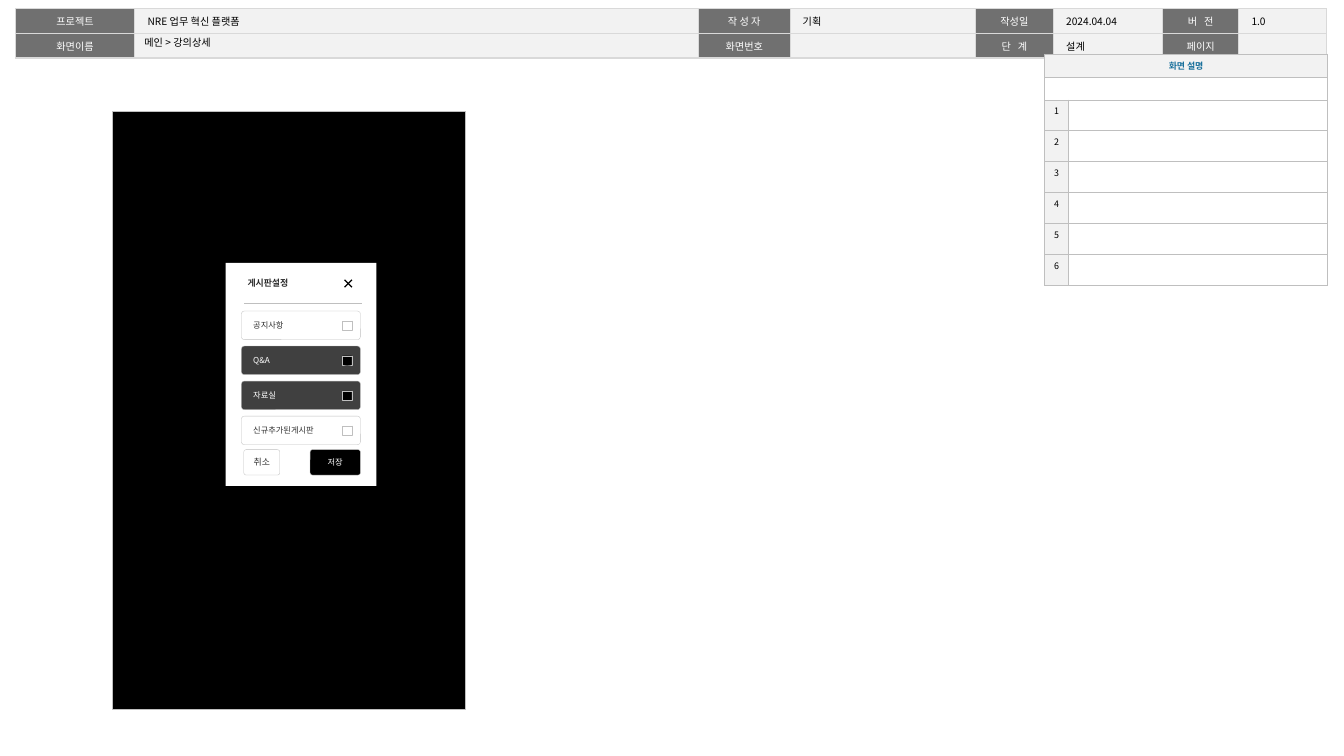
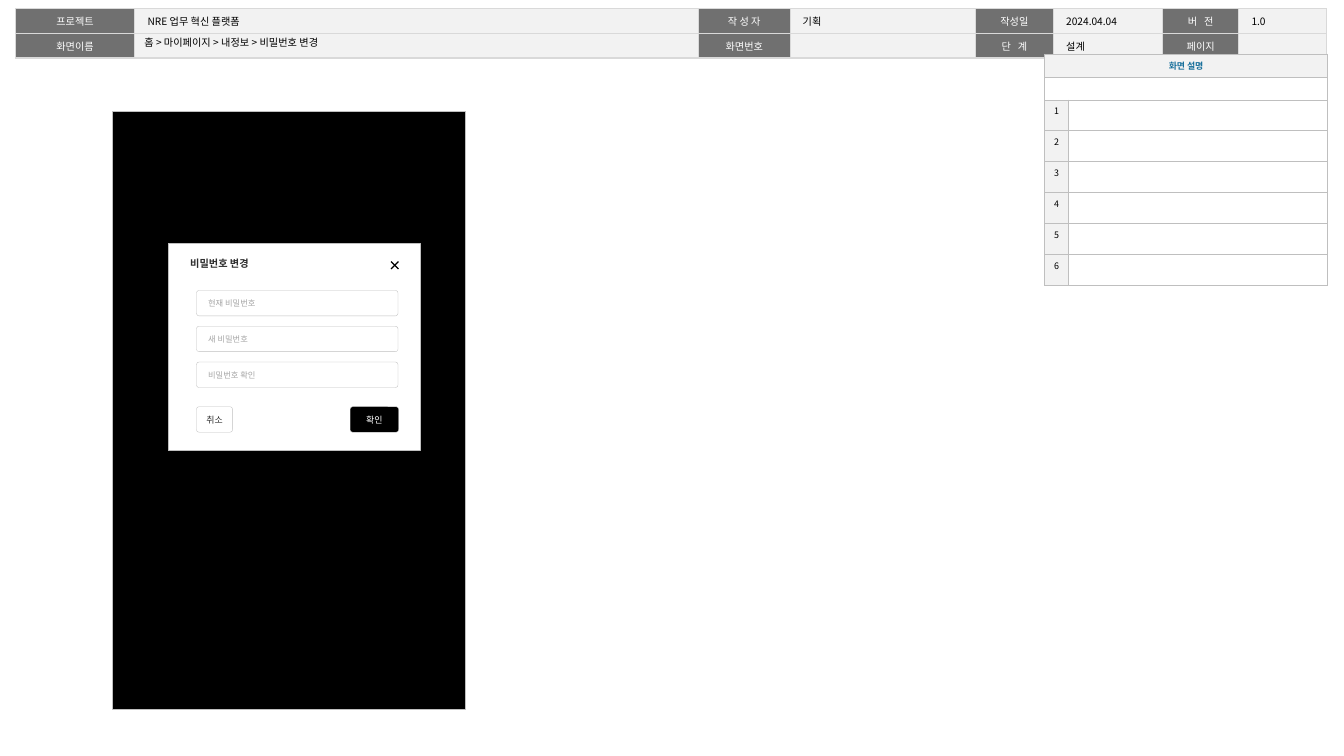
from dataclasses import dataclass

from lxml.etree import SubElement
from pptx import Presentation
from pptx.dml.color import RGBColor
from pptx.enum.shapes import MSO_CONNECTOR as CONN, MSO_SHAPE as SHAPE
from pptx.enum.text import MSO_ANCHOR as ANCHOR, MSO_AUTO_SIZE as AUTO, PP_ALIGN as ALIGN
from pptx.oxml.ns import qn
from pptx.util import Pt


@dataclass(frozen=True)
class Theme:
    # Colours
    black: str = "000000"
    white: str = "FFFFFF"
    ink: str = "2E2E2E"
    dark: str = "404040"
    label: str = "707070"
    hint: str = "A6A6A6"
    edge: str = "BFBFBF"
    grid: str = "D9D9D9"
    pale: str = "F2F2F2"
    accent: str = "176F9B"
    # Fonts and sizes
    font: str = "Noto Sans CJK KR"
    button_font: str = "Arial"
    head: float = 8
    note: float = 7
    small: float = 6.5


T = Theme()
HEADER_COLS = (94, 444, 72, 146, 61.5, 86, 60, 69)
HEADER_ROWS = (
    ("프로젝트", "NRE 업무 혁신 플랫폼", "작 성 자", "기획", "작성일", "2024.04.04", "버 전", "1.0"),
    ("화면이름", "", "화면번호", "", "단 계", "설계", "페이지", ""),
)
WIDE_LABELS = ("버 전", "단 계")
NOTE_COUNT = 6


def put_text(tf, text, size=T.note, color=T.black, font=T.font, bold=False,
             align=ALIGN.LEFT, leading=None, tracking=0):
    p = tf.paragraphs[0]
    p.alignment = align
    if leading:
        p.line_spacing = leading
    if not text:
        p._p.get_or_add_endParaRPr().set("sz", str(int(size * 100)))
        return
    r = p.add_run()
    r.text = text
    r.font.size, r.font.bold, r.font.name = Pt(size), bold, font
    r.font.color.rgb = RGBColor.from_string(color)
    rpr = r._r.get_or_add_rPr()
    SubElement(rpr, qn("a:ea")).set("typeface", T.font)
    if tracking:
        rpr.set("spc", str(int(tracking * 100)))


def set_margins(box, left, top, right, bottom):
    box.margin_left, box.margin_top = Pt(left), Pt(top)
    box.margin_right, box.margin_bottom = Pt(right), Pt(bottom)


class Wireframe:
    def __init__(self, prs, title):
        self.s = prs.slides.add_slide(prs.slide_layouts[5])
        self.header()
        self.box(88.6, 87.8, 278, 471, T.black, edge_width=0.5)
        self.title(title)
        self.notes()

    # Basic elements
    def title(self, text):
        sp = self.s.shapes.title
        sp.left, sp.top, sp.width, sp.height = Pt(105.8), Pt(27.4), Pt(277), Pt(11.5)
        tf = sp.text_frame
        tf.auto_size, tf.word_wrap, tf.vertical_anchor = AUTO.NONE, True, ANCHOR.MIDDLE
        set_margins(tf, 7.9, 3.6, 7.9, 3.6)
        put_text(tf, text, size=T.head)
        self.s.shapes._spTree.append(sp._element)  # above the header table

    def box(self, x, y, w, h, fill, text="", edge_width=0.25, rounded=False,
            margins=(3, 0, 3, 0), anchor=ANCHOR.MIDDLE, **fmt):
        kind = SHAPE.ROUNDED_RECTANGLE if rounded else SHAPE.RECTANGLE
        sp = self.s.shapes.add_shape(kind, Pt(x), Pt(y), Pt(w), Pt(h))
        sp.shadow.inherit = False
        if rounded:
            sp.adjustments[0] = 0.1
        sp.fill.solid()
        sp.fill.fore_color.rgb = RGBColor.from_string(fill)
        if edge_width:
            sp.line.color.rgb = RGBColor.from_string(T.edge)
            sp.line.width = Pt(edge_width)
        else:
            sp.line.fill.background()
        if text:
            tf = sp.text_frame
            tf.word_wrap, tf.vertical_anchor = True, anchor
            set_margins(tf, *margins)
            put_text(tf, text, **fmt)

    def line(self, x1, y1, x2, y2, color, width):
        ln = self.s.shapes.add_connector(CONN.STRAIGHT, Pt(x1), Pt(y1), Pt(x2), Pt(y2))
        ln.line.color.rgb = RGBColor.from_string(color)
        ln.line.width = Pt(width)
        SubElement(ln._element.spPr, qn("a:effectLst"))

    def table(self, x, y, cols, rows):
        frame = self.s.shapes.add_table(len(rows), len(cols), Pt(x), Pt(y),
                                        Pt(sum(cols)), Pt(sum(rows)))
        tbl = frame.table
        tbl.first_row = tbl.horz_banding = False
        for col, w in zip(tbl.columns, cols):
            col.width = Pt(w)
        for row, h in zip(tbl.rows, rows):
            row.height = Pt(h)
        return tbl

    def cell(self, cell, text, fill, border, border_width, side_margin,
             anchor=ANCHOR.TOP, **fmt):
        tcpr = cell._tc.get_or_add_tcPr()
        for side in ("lnL", "lnR", "lnT", "lnB"):
            ln = SubElement(tcpr, qn(f"a:{side}"), w=str(Pt(border_width)))
            SubElement(SubElement(ln, qn("a:solidFill")), qn("a:srgbClr"), val=border)
        cell.fill.solid()
        cell.fill.fore_color.rgb = RGBColor.from_string(fill)
        cell.vertical_anchor = anchor
        set_margins(cell, side_margin, 3.6, side_margin, 3.6)
        put_text(cell.text_frame, text, **fmt)

    # Shared page parts
    def header(self):
        tbl = self.table(12.2, 6.8, HEADER_COLS, (17.5, 17.5))
        for i, row in enumerate(HEADER_ROWS):
            for j, text in enumerate(row):
                is_label = j % 2 == 0
                self.cell(tbl.cell(i, j), text, T.label if is_label else T.pale,
                          T.grid, 1, 10, size=T.head, leading=1.05,
                          color=T.white if is_label else T.black,
                          align=ALIGN.CENTER if is_label else ALIGN.LEFT,
                          tracking=1.8 if text in WIDE_LABELS else 0)

    def notes(self):
        tbl = self.table(822.5, 42.5, (19, 204), (18, 18) + (24.4,) * NOTE_COUNT)
        rows = [("화면 설명", ""), ("", "")]
        rows += [(str(n), "") for n in range(1, NOTE_COUNT + 1)]
        for i, row in enumerate(rows):
            for j, text in enumerate(row):
                self.cell(tbl.cell(i, j), text, T.pale if text else T.white,
                          T.edge, 0.25, 3, align=ALIGN.CENTER, bold=i == 0,
                          color=T.accent if i == 0 else T.black,
                          anchor=ANCHOR.MIDDLE if i == 0 else ANCHOR.TOP)
        for i in range(2):
            tbl.cell(i, 0).merge(tbl.cell(i, 1))

    # Dialog parts
    def dialog(self, x, y, w, h, text, size, edge_width):
        self.box(x, y, w, h, T.white, text, edge_width, margins=(17.3, 11.5, 11.5, 3.6),
                 anchor=ANCHOR.TOP, size=size, color=T.ink, bold=True)

    def close_icon(self, x, y, size=5.8):
        self.line(x, y, x + size, y + size, T.black, 1)
        self.line(x + size, y, x, y + size, T.black, 1)

    def button(self, x, y, w, text, primary=False, size=T.note):
        self.box(x, y, w, 20, T.black if primary else T.white, text, rounded=True,
                 size=size, color=T.white if primary else T.ink,
                 font=T.button_font, align=ALIGN.CENTER)

    def option(self, x, y, text, checked):
        self.box(x, y, 93.6, 22.5, T.dark if checked else T.white, text, rounded=True,
                 margins=(8.6, 0, 8.6, 0), size=T.small,
                 color=T.white if checked else T.ink)
        self.box(x + 79.6, y + 7.6, 7.2, 7.2, T.black if checked else T.white)

    def field(self, x, y, text):
        self.box(x, y, 158.6, 20, T.white, text, rounded=True, margins=(8.6, 0, 5.8, 0),
                 size=T.small, color=T.hint, font=T.button_font)


def board_settings(prs):
    w = Wireframe(prs, "메인 > 강의상세")
    w.dialog(177.7, 207, 118.8, 175.7, "게시판설정", T.note, 0)
    w.line(192.2, 238.5, 285.1, 238.5, T.edge, 0.25)
    w.close_icon(271.4, 220.4)
    options = (("공지사항", False), ("Q&A", True), ("자료실", True), ("신규추가된게시판", False))
    for i, (text, checked) in enumerate(options):
        w.option(190.2, 245 + 27.6 * i, text, checked)
    w.button(192, 354.2, 28.4, "취소")
    w.button(244.2, 354.2, 39.6, "저장", primary=True, size=T.small)


def password_change(prs):
    w = Wireframe(prs, "홈 > 마이페이지 > 내정보 > 비밀번호 변경")
    w.dialog(132.5, 191.5, 198.7, 163.4, "비밀번호 변경", T.head, 0.5)
    w.close_icon(308, 206)
    for i, text in enumerate(("현재 비밀번호", "새 비밀번호", "비밀번호 확인")):
        w.field(154.8, 228.8 + 28.2 * i, text)
    w.button(154.8, 320.4, 28.4, "취소")
    w.button(275.8, 320.4, 38, "확인", primary=True)


def main():
    prs = Presentation()
    prs.slide_width, prs.slide_height = Pt(1058.4), Pt(595.44)
    board_settings(prs)
    password_change(prs)
    prs.save("out.pptx")


if __name__ == "__main__":
    main()
